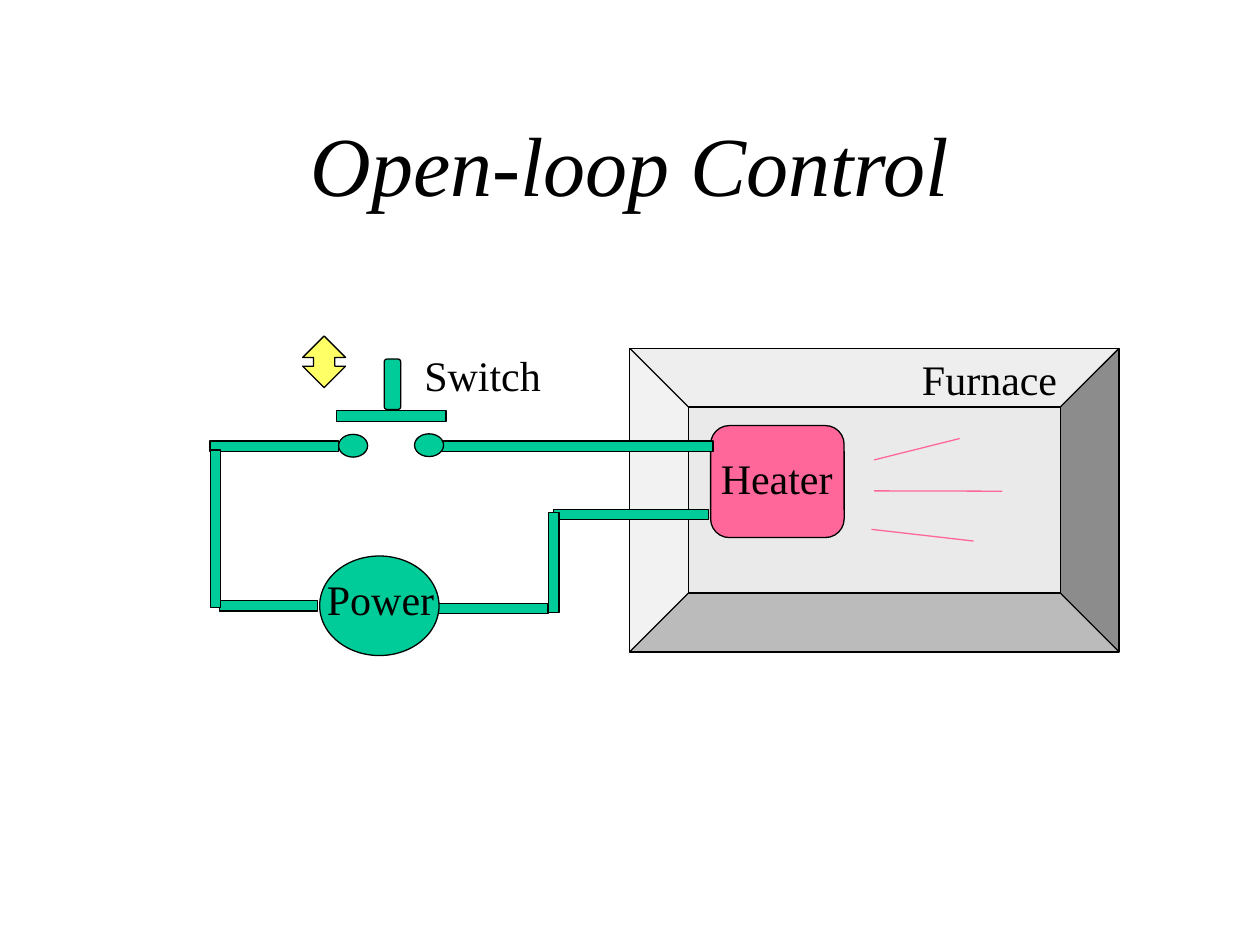
from lxml.etree import SubElement
from pptx import Presentation
from pptx.dml.color import RGBColor
from pptx.enum.shapes import MSO_CONNECTOR, MSO_SHAPE as Preset
from pptx.enum.text import MSO_ANCHOR, PP_ALIGN
from pptx.oxml.ns import qn
from pptx.util import Pt

COLORS = {
    "ink": "000000",
    "furnace": "EAEAEA",
    "heat": "FF6699",
    "circuit": "00CC99",
    "motion": "FFFF66",
}
FONT = "Times New Roman"
WIRE = 6


def color(key):
    return RGBColor.from_string(COLORS[key])


def place(origin, x, y, w, h):
    return Pt(origin[0] + x), Pt(origin[1] + y), Pt(w), Pt(h)


def add_part(slide, preset, bounds, fill, adjustments=()):
    part = slide.shapes.add_shape(preset, *bounds)
    part.shadow.inherit = False
    part.fill.solid()
    part.fill.fore_color.rgb = color(fill)
    part.line.color.rgb = color("ink")
    part.line.width = Pt(0.75)
    for index, value in enumerate(adjustments):
        part.adjustments[index] = value


def write(frame, wording, size, italic=False):
    frame.text = wording
    frame.vertical_anchor = MSO_ANCHOR.MIDDLE
    line = frame.paragraphs[0]
    line.alignment = PP_ALIGN.CENTER
    font = line.runs[0].font
    font.name, font.size, font.italic = FONT, Pt(size), italic
    font.color.rgb = color("ink")


def add_label(slide, wording, bounds):
    frame = slide.shapes.add_textbox(*bounds).text_frame
    frame.word_wrap = False
    frame.margin_left = frame.margin_right = 0
    write(frame, wording, 24)


def add_ray(slide, origin, x1, y1, x2, y2):
    left, top = origin
    ray = slide.shapes.add_connector(
        MSO_CONNECTOR.STRAIGHT,
        Pt(left + x1), Pt(top + y1), Pt(left + x2), Pt(top + y2),
    )
    ray.line.color.rgb = color("heat")
    ray.line.width = Pt(0.75)
    SubElement(ray.element.spPr, qn("a:effectLst"))


def add_title(slide, x, y, w, h):
    title = slide.shapes.title
    title.left, title.top, title.width, title.height = place((0, 0), x, y, w, h)
    write(title.text_frame, "Open-loop Control", 48, italic=True)


def add_furnace(slide, x, y, w, h):
    origin = x, y
    add_part(slide, Preset.BEVEL, place(origin, 0, 0, w, h), "furnace", [0.194])
    add_part(slide, Preset.ROUNDED_RECTANGLE, place(origin, 46.3, 44.2, 76.3, 64),
             "heat", [0.167])
    add_label(slide, "Heater", place(origin, 44.8, 56.2, 78.5, 36))
    add_label(slide, "Furnace", place(origin, 160, -0.7, 91.4, 36))
    for ray in [(139.7, 63.8, 188.6, 51.6),
                (139.7, 81.5, 213, 81.7),
                (138.2, 103.5, 196.6, 110.2)]:
        add_ray(slide, origin, *ray)


def add_circuit(slide, x, y):
    origin = x, y
    horizontal_wires = [(0, 60, 73.4), (132, 60, 155.5), (5.3, 151.2, 56.2),
                        (130.6, 152.7, 62.6), (196.2, 99.1, 88.6)]
    vertical_wires = [(0.2, 65.2, 90), (193.4, 100.8, 57.2)]
    wires = [(left, top, length, WIRE) for left, top, length in horizontal_wires]
    wires += [(left, top, WIRE, length) for left, top, length in vertical_wires]
    switch_plate = (72.4, 42.7, 62.6, WIRE)
    for bar in wires + [switch_plate]:
        add_part(slide, Preset.RECTANGLE, place(origin, *bar), "circuit")

    contacts = [(73.5, 56.2, 16.6, 13), (116.9, 55.9, 16.6, 13)]
    power_source = (62.7, 125.7, 68.2, 56.9)
    for disc in contacts + [power_source]:
        add_part(slide, Preset.OVAL, place(origin, *disc), "circuit")

    add_part(slide, Preset.ROUNDED_RECTANGLE, place(origin, 99.6, 13.2, 9.4, 28.8),
             "circuit", [0.167])
    add_part(slide, Preset.UP_DOWN_ARROW, place(origin, 53, 0, 24.5, 29.5),
             "motion", [0.242, 0.5])
    add_label(slide, "Power", place(origin, 59.3, 132.3, 76.3, 36))
    add_label(slide, "Switch", place(origin, 115.1, 4.2, 81.4, 36))


def main():
    deck = Presentation()
    deck.slide_width, deck.slide_height = Pt(720), Pt(540)
    slide = deck.slides.add_slide(deck.slide_layouts[5])
    add_title(slide, 54, 48, 612, 90)
    add_furnace(slide, 359.8, 199, 279.7, 173.5)
    add_circuit(slide, 120, 192)
    deck.save("out.pptx")


if __name__ == "__main__":
    main()
